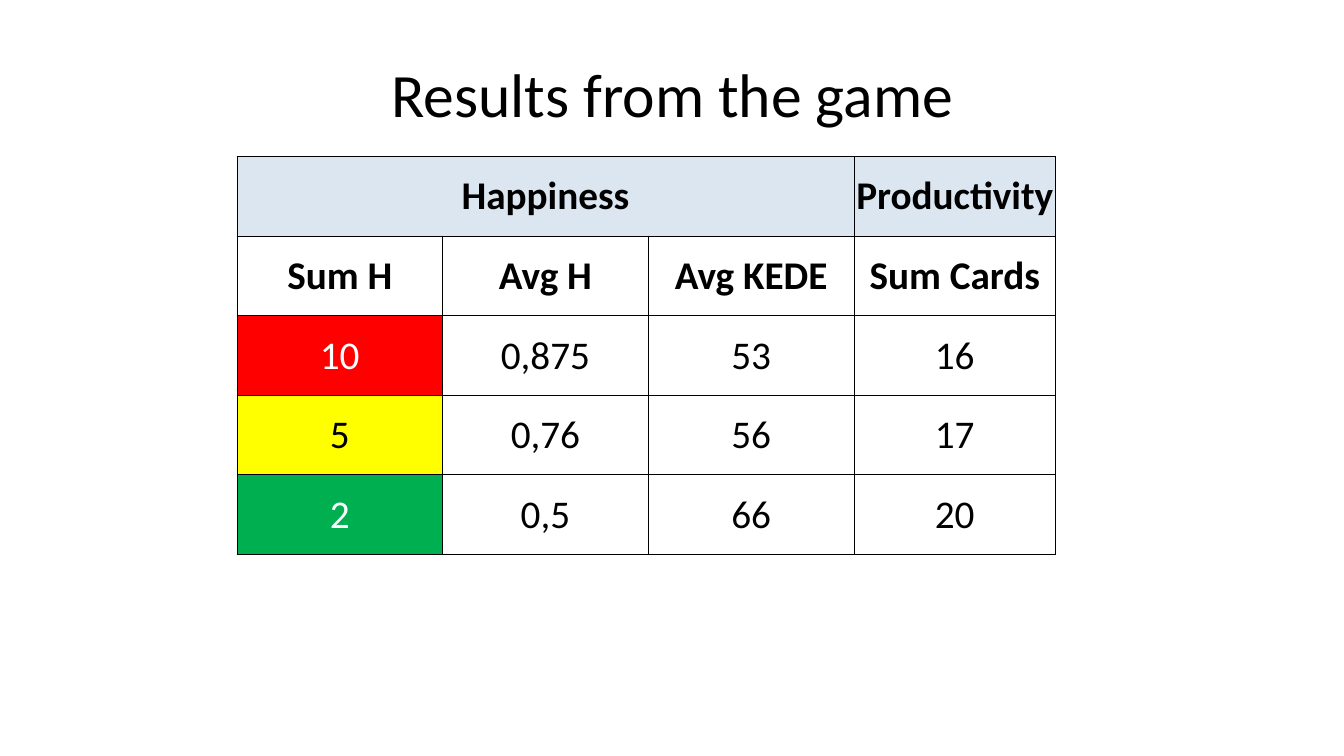
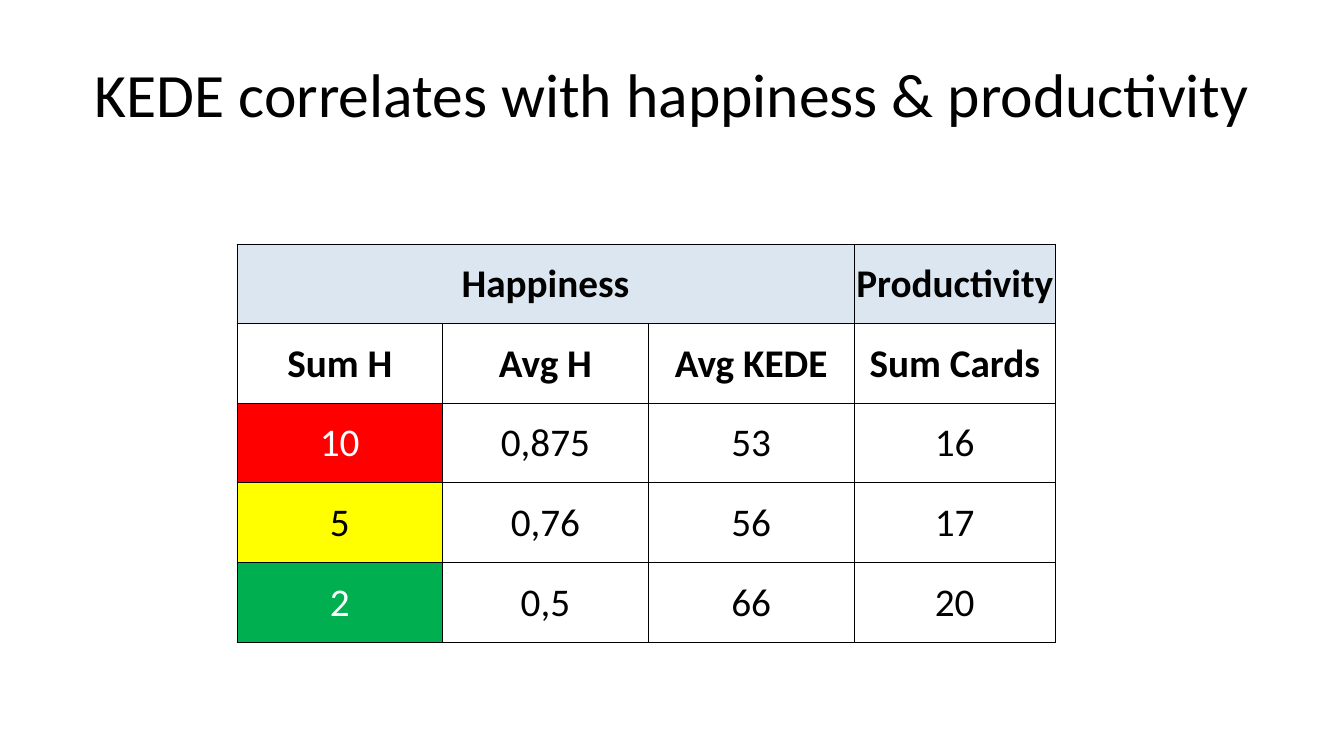
from dataclasses import dataclass

from lxml import etree
from pptx import Presentation
from pptx.dml.color import RGBColor
from pptx.enum.text import MSO_ANCHOR, MSO_AUTO_SIZE, PP_ALIGN
from pptx.oxml.ns import qn
from pptx.util import Inches, Pt

MIDDLE = MSO_ANCHOR.MIDDLE
CENTER = PP_ALIGN.CENTER
NO_FIT = MSO_AUTO_SIZE.NONE

BLACK = RGBColor(0x00, 0x00, 0x00)
WHITE = RGBColor(0xFF, 0xFF, 0xFF)
PALE = RGBColor(0xDC, 0xE6, 0xF1)
RED = RGBColor(0xFF, 0x00, 0x00)
YELLOW = RGBColor(0xFF, 0xFF, 0x00)
GREEN = RGBColor(0x00, 0xB0, 0x50)

FONT = "Calibri"
WIDTHS = (2.04, 2.04, 2.04, 2)
HEIGHT = 0.79
HEADS = 2


@dataclass(frozen=True)
class Row:
    texts: tuple[str, ...]
    fills: tuple[RGBColor | None, ...] = (None,) * 4
    lead: RGBColor = BLACK


@dataclass(frozen=True)
class Page:
    title: str
    top: float


ROWS = (
    Row(("Happiness", "", "", "Productivity"), (PALE,) * 4),
    Row(("Sum H", "Avg H", "Avg KEDE", "Sum Cards")),
    Row(("10", "0,875", "53", "16"), (RED, None, None, None), WHITE),
    Row(("5", "0,76", "56", "17"), (YELLOW, None, None, None)),
    Row(("2", "0,5", "66", "20"), (GREEN, None, None, None), WHITE),
)
PAGES = (
    Page("Results from the game", 1.55),
    Page("KEDE correlates with happiness & productivity", 2.42),
)


def write(frame, text: str, size: int, color: RGBColor, bold: bool = False) -> None:
    para = frame.paragraphs[0]
    para.alignment = CENTER
    run = para.add_run()
    run.text = text
    run.font.name = FONT
    run.font.size = Pt(size)
    run.font.bold = bold
    run.font.color.rgb = color


def border(cell) -> None:
    props = cell._tc.get_or_add_tcPr()
    for spot, side in enumerate(("lnL", "lnR", "lnT", "lnB")):
        line = etree.Element(qn(f"a:{side}"), w=str(Pt(0.5)))
        fill = etree.SubElement(line, qn("a:solidFill"))
        etree.SubElement(fill, qn("a:srgbClr"), val=str(BLACK))
        props.insert(spot, line)


def style(cell, fill: RGBColor | None) -> None:
    cell.vertical_anchor = MIDDLE
    cell.margin_left = cell.margin_right = cell.margin_top = Inches(0.01)
    cell.margin_bottom = 0
    if fill is None:
        cell.fill.background()
    else:
        cell.fill.solid()
        cell.fill.fore_color.rgb = fill
    border(cell)


def add_title(slide, text: str) -> None:
    title = slide.shapes.title
    title.left, title.top = Inches(0.67), Inches(0.3)
    title.width, title.height = Inches(12), Inches(1.25)
    frame = title.text_frame
    frame.auto_size = NO_FIT
    frame.vertical_anchor = MIDDLE
    write(frame, text, 44, BLACK)


def add_grid(slide, top: float) -> None:
    table = slide.shapes.add_table(
        len(ROWS), len(WIDTHS), Inches(2.35), Inches(top),
        Inches(sum(WIDTHS)), Inches(HEIGHT * len(ROWS)),
    ).table
    table.first_row = table.horz_banding = False
    for col, width in zip(table.columns, WIDTHS):
        col.width = Inches(width)
    for r, row in enumerate(ROWS):
        table.rows[r].height = Inches(HEIGHT)
        for c, (text, fill) in enumerate(zip(row.texts, row.fills)):
            cell = table.cell(r, c)
            style(cell, fill)
            if text:
                color = row.lead if c == 0 else BLACK
                write(cell.text_frame, text, 28, color, r < HEADS)
    table.cell(0, 0).merge(table.cell(0, 2))


def main() -> None:
    deck = Presentation()
    deck.slide_width, deck.slide_height = Inches(13.33), Inches(7.5)
    for page in PAGES:
        slide = deck.slides.add_slide(deck.slide_layouts[5])
        add_title(slide, page.title)
        add_grid(slide, page.top)
    deck.save("out.pptx")


if __name__ == "__main__":
    main()
